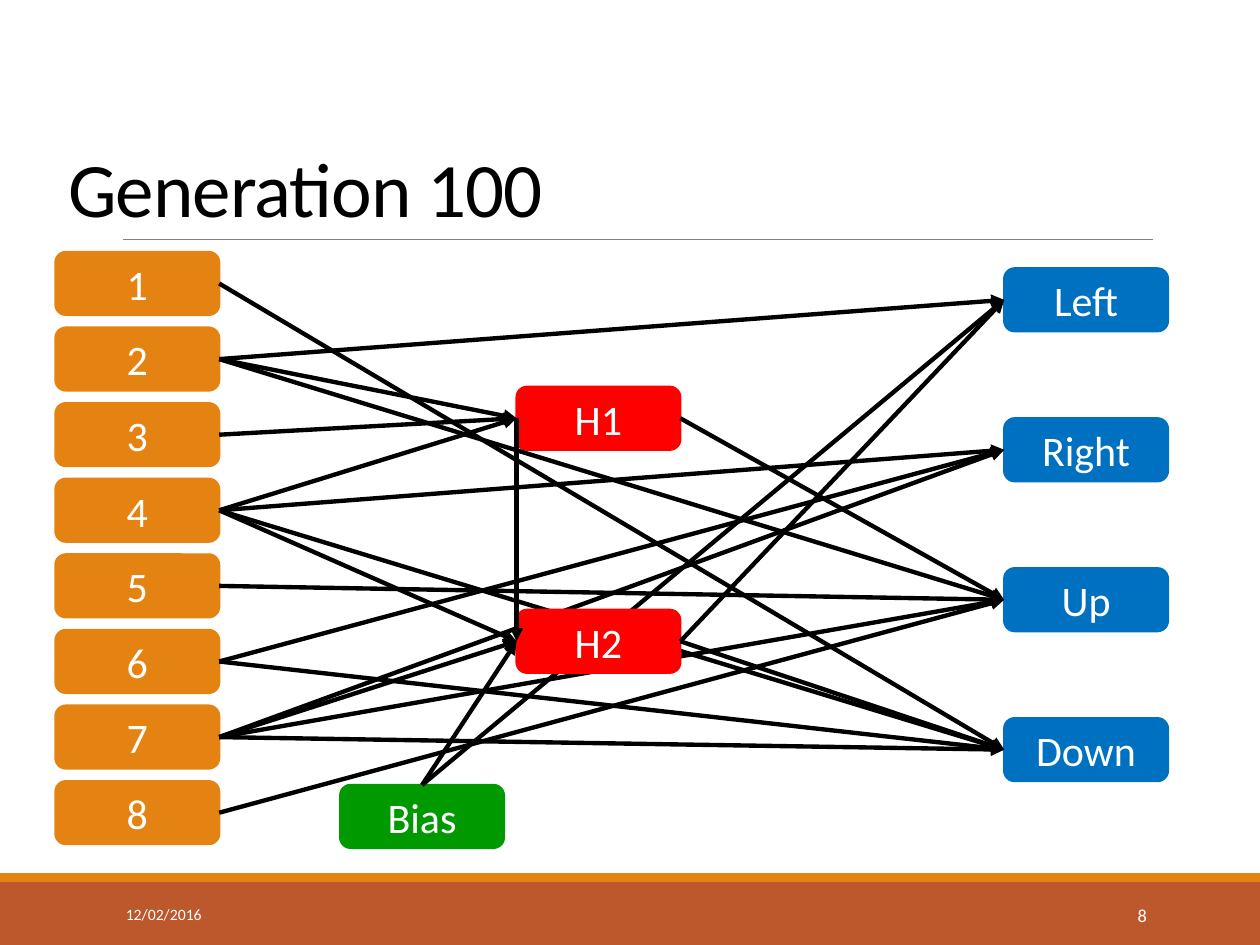
import dataclasses

import lxml.etree
import pptx
import pptx.dml.color
import pptx.enum.shapes
import pptx.enum.text
import pptx.oxml.ns
import pptx.util

Inches = pptx.util.Inches
Align = pptx.enum.text.PP_ALIGN
Anchor = pptx.enum.text.MSO_ANCHOR
Shape = pptx.enum.shapes.MSO_SHAPE

COLOURS = {
    "input": "E48312",
    "hidden": "FF0000",
    "bias": "009900",
    "output": "0070C0",
    "footer": "BD582C",
    "rule": "808080",
    "ink": "000000",
    "paper": "FFFFFF",
}
FONT = "Calibri"
NODE_WIDTH, NODE_HEIGHT = 1.3, 0.5
TOP, LEFT, RIGHT = 0, 1, 3


@dataclasses.dataclass
class Node:
    label: str
    left: float
    top: float
    colour: str


@dataclasses.dataclass
class Link:
    source: str
    target: str
    source_side: int = RIGHT


INPUTS = [Node(str(i + 1), 0.44, 2 + 0.6 * i, "input") for i in range(8)]
OUTPUTS = [
    Node(label, 7.97, 2.13 + 1.19 * i, "output")
    for i, label in enumerate(["Left", "Right", "Up", "Down"])
]
BIAS = Node("Bias", 2.7, 6.23, "bias")
H1 = Node("H1", 4.1, 3.07, "hidden")
H2 = Node("H2", 4.1, 4.84, "hidden")

LINKS_BEHIND_H2 = [
    Link("1", "Down"),
    Link("2", "Left"),
    Link("2", "H1"),
    Link("2", "Up"),
    Link("3", "H1"),
    Link("4", "H1"),
    Link("4", "Right"),
    Link("4", "Down"),
    Link("5", "Up"),
    Link("6", "Right"),
    Link("6", "Down"),
    Link("7", "Right"),
    Link("7", "Up"),
    Link("7", "Down"),
    Link("8", "Up"),
    Link("H1", "Up"),
    Link("Bias", "Left", TOP),
]
LINKS_OF_H2 = [
    Link("4", "H2"),
    Link("7", "H2"),
    Link("Bias", "H2", TOP),
    Link("H1", "H2", LEFT),
    Link("H2", "Left"),
    Link("H2", "Down"),
]


def rgb(name: str) -> pptx.dml.color.RGBColor:
    return pptx.dml.color.RGBColor.from_string(COLOURS[name])


def add_run(para, text: str, size: float, colour: str):
    span = para.add_run()
    span.text = text
    span.font.name = FONT
    span.font.size = pptx.util.Pt(size)
    span.font.color.rgb = rgb(colour)
    return span


def add_block(page, kind, left: float, top: float, width: float, height: float, colour: str):
    box = page.shapes.add_shape(kind, Inches(left), Inches(top), Inches(width), Inches(height))
    box.shadow.inherit = False
    box.fill.solid()
    box.fill.fore_color.rgb = rgb(colour)
    box.line.fill.background()
    return box


def add_node(page, node: Node):
    box = add_block(
        page, Shape.ROUNDED_RECTANGLE, node.left, node.top, NODE_WIDTH, NODE_HEIGHT, node.colour
    )
    box.line.color.rgb = rgb(node.colour)
    box.line.width = pptx.util.Pt(1.25)
    box.text_frame.vertical_anchor = Anchor.MIDDLE
    para = box.text_frame.paragraphs[0]
    para.alignment = Align.CENTER
    add_run(para, node.label, 24, "paper")
    return box


def add_line(page, start: tuple, end: tuple, colour: str, width: float):
    line = page.shapes.add_connector(
        pptx.enum.shapes.MSO_CONNECTOR.STRAIGHT, *map(Inches, start + end)
    )
    line.line.color.rgb = rgb(colour)
    line.line.width = pptx.util.Pt(width)
    lxml.etree.SubElement(line._element.spPr, pptx.oxml.ns.qn("a:effectLst"))
    return line


def add_link(page, link: Link, boxes: dict) -> None:
    arrow = add_line(page, (0, 0), (0, 0), "ink", 2.5)
    arrow.begin_connect(boxes[link.source], link.source_side)
    arrow.end_connect(boxes[link.target], LEFT)
    outline = arrow.line._get_or_add_ln()
    lxml.etree.SubElement(outline, pptx.oxml.ns.qn("a:tailEnd"), type="triangle")


def add_footer_text(page, text: str, left: float, width: float, size: float, alignment) -> None:
    box = page.shapes.add_textbox(Inches(left), Inches(7.06), Inches(width), Inches(0.4))
    box.text_frame.word_wrap = True
    box.text_frame.vertical_anchor = Anchor.MIDDLE
    para = box.text_frame.paragraphs[0]
    para.alignment = alignment
    add_run(para, text, size, "paper")


def set_title(page, text: str) -> None:
    title = page.shapes.title
    title.left, title.top = Inches(0.44), Inches(0.31)
    title.width, title.height = Inches(9.56), Inches(1.59)
    title.text_frame.auto_size = pptx.enum.text.MSO_AUTO_SIZE.NONE
    title.text_frame.vertical_anchor = Anchor.BOTTOM
    para = title.text_frame.paragraphs[0]
    para.alignment = Align.LEFT
    para.line_spacing = 0.85
    span = add_run(para, text, 44, "ink")
    span.font._element.set("spc", "-50")


def main() -> None:
    deck = pptx.Presentation()
    deck.slide_width, deck.slide_height = Inches(10), Inches(7.5)
    page = deck.slides.add_slide(deck.slide_layouts[5])

    add_block(page, Shape.RECTANGLE, 0, 7, 10, 0.5, "footer")
    add_block(page, Shape.RECTANGLE, 0, 6.93, 10, 0.07, "input")
    add_line(page, (0.98, 1.9), (9.15, 1.9), "rule", 0.5)
    set_title(page, "Generation 100")
    add_footer_text(page, "12/02/2016", 0.9, 2.03, 9, Align.LEFT)
    add_footer_text(page, "8", 8.12, 1.08, 10.5, Align.RIGHT)

    boxes = {node.label: add_node(page, node) for node in [*INPUTS, *OUTPUTS, BIAS, H1]}
    for link in LINKS_BEHIND_H2:
        add_link(page, link, boxes)
    boxes[H2.label] = add_node(page, H2)
    for link in LINKS_OF_H2:
        add_link(page, link, boxes)

    deck.save("out.pptx")


if __name__ == "__main__":
    main()
